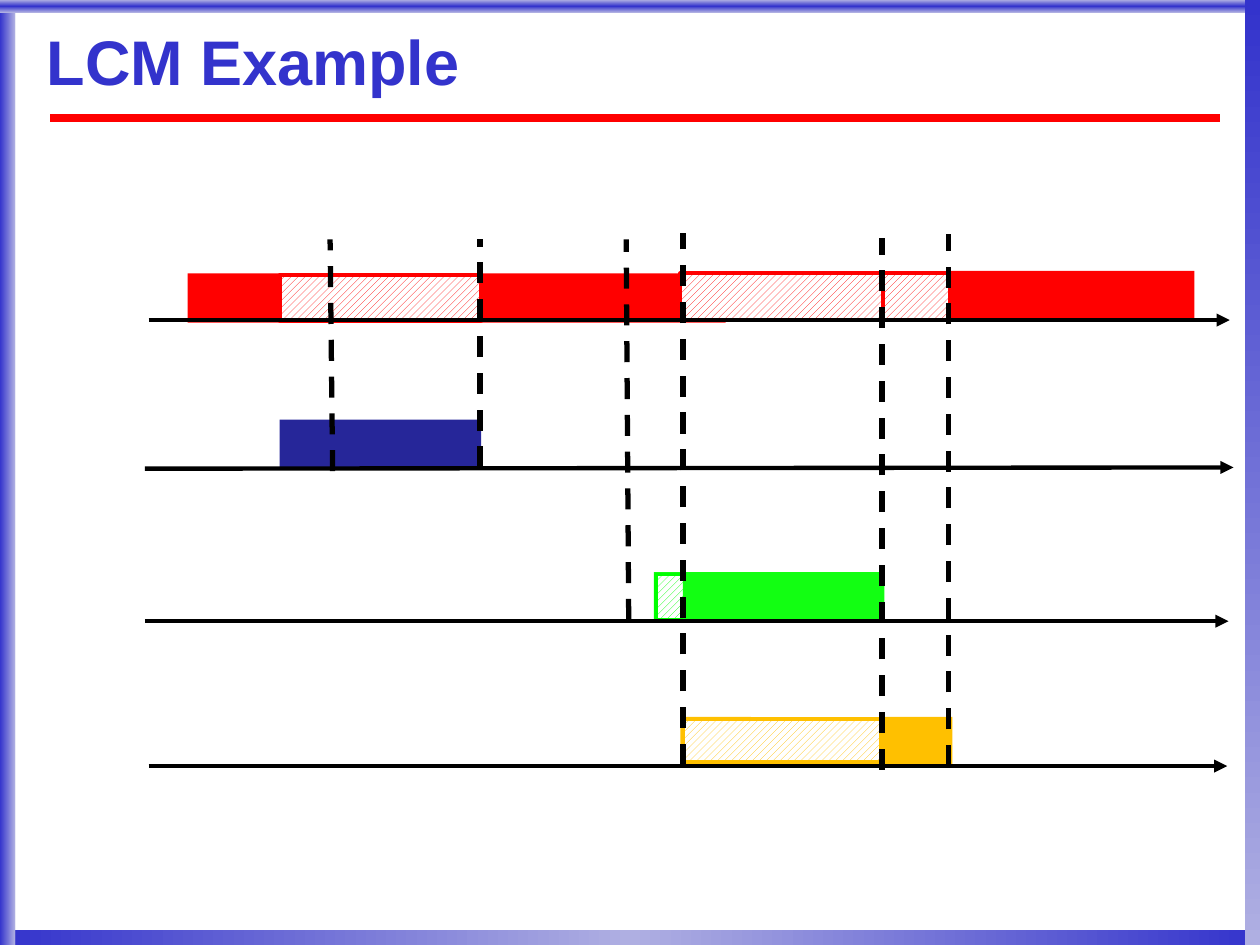
from dataclasses import dataclass

from lxml.etree import SubElement
from pptx import Presentation
from pptx.dml.color import RGBColor
from pptx.enum.dml import MSO_LINE, MSO_PATTERN
from pptx.enum.shapes import MSO_CONNECTOR, MSO_SHAPE
from pptx.enum.text import MSO_ANCHOR
from pptx.oxml import parse_xml
from pptx.oxml.ns import nsdecls, qn
from pptx.shapes.autoshape import Shape
from pptx.slide import Slide
from pptx.util import Inches, Pt


@dataclass(frozen=True)
class Theme:
    font: str = "Arial"
    title: float = 36
    rule: float = 4.5
    axis: float = 2.5
    dash: float = 3
    edge: float = 2.25
    blue: str = "3333CC"
    pale: str = "AFAFE2"
    shade: str = "B2B2B2"
    white: str = "FFFFFF"
    black: str = "000000"
    red: str = "FF0000"
    navy: str = "262699"
    green: str = "12FF12"
    lime: str = "00FF00"
    gold: str = "FFC000"


THEME = Theme()


@dataclass(frozen=True)
class Band:
    """A frame strip with evenly spaced gradient stops."""
    left: float
    top: float
    width: float
    height: float
    stops: tuple[str, ...]
    angle: int


@dataclass(frozen=True)
class Block:
    """A span of time: solid while running, hatched while waiting."""
    left: float
    top: float
    width: float
    height: float
    color: str
    hatched: bool = False


@dataclass(frozen=True)
class Line:
    start: tuple[float, float]
    end: tuple[float, float]
    color: str
    weight: float
    dashed: bool = False
    arrow: bool = False


def run(left: float, top: float, width: float, color: str) -> Block:
    return Block(left, top, width, 0.39, color)


def wait(left: float, top: float, width: float, height: float, color: str) -> Block:
    return Block(left, top, width, height, color, hatched=True)


def axis(left: float, right: float, start: float, end: float) -> Line:
    return Line((left, start), (right, end), THEME.black, THEME.axis, arrow=True)


def mark(low: float, bottom: float, high: float, top: float) -> Line:
    return Line((low, bottom), (high, top), THEME.black, THEME.dash, dashed=True)


def add_box(slide: Slide, part: Band | Block) -> Shape:
    box = slide.shapes.add_shape(
        MSO_SHAPE.RECTANGLE, Inches(part.left), Inches(part.top),
        Inches(part.width), Inches(part.height))
    box.shadow.inherit = False
    box.line.fill.background()
    return box


def draw_band(slide: Slide, band: Band) -> None:
    box = add_box(slide, band)
    step = 100000 // (len(band.stops) - 1)
    stops = "".join(
        f'<a:gs pos="{i * step}"><a:srgbClr val="{color}"/></a:gs>'
        for i, color in enumerate(band.stops))
    fill = parse_xml(
        f'<a:gradFill {nsdecls("a")} rotWithShape="1"><a:gsLst>{stops}</a:gsLst>'
        f'<a:lin ang="{band.angle * 60000}" scaled="0"/></a:gradFill>')
    box.element.spPr.find(qn("a:prstGeom")).addnext(fill)


def draw_block(slide: Slide, block: Block) -> None:
    box = add_box(slide, block)
    color = RGBColor.from_string(block.color)
    if not block.hatched:
        box.fill.solid()
        box.fill.fore_color.rgb = color
        return
    box.fill.patterned()
    box.fill.pattern = MSO_PATTERN.WIDE_UPWARD_DIAGONAL
    box.fill.fore_color.rgb = color
    box.fill.back_color.rgb = RGBColor.from_string(THEME.white)
    box.line.color.rgb = color
    box.line.width = Pt(THEME.edge)


def draw_line(slide: Slide, line: Line) -> None:
    wire = slide.shapes.add_connector(
        MSO_CONNECTOR.STRAIGHT, *map(Inches, line.start + line.end))
    wire.line.color.rgb = RGBColor.from_string(line.color)
    wire.line.width = Pt(line.weight)
    if line.dashed:
        wire.line.dash_style = MSO_LINE.DASH
    if line.arrow:
        SubElement(wire.line._get_or_add_ln(), qn("a:tailEnd"), type="triangle")
    SubElement(wire.element.spPr, qn("a:effectLst"))


def draw_title(slide: Slide, text: str) -> None:
    box = slide.shapes.add_textbox(Inches(0.37), Inches(0.15), Inches(9.47), Inches(0.74))
    frame = box.text_frame
    frame.word_wrap = True
    frame.vertical_anchor = MSO_ANCHOR.MIDDLE
    frame.margin_left = frame.margin_right = frame.margin_top = frame.margin_bottom = 0
    frame.text = text
    para = frame.paragraphs[0]
    para.line_spacing = 0.87
    font = para.runs[0].font
    font.size = Pt(THEME.title)
    font.bold = True
    font.color.rgb = RGBColor.from_string(THEME.blue)
    # The text shadow sits between the colour and the typeface
    para.runs[0]._r.get_or_add_rPr().append(parse_xml(
        f'<a:effectLst {nsdecls("a")}><a:outerShdw dist="38100" dir="2700000">'
        f'<a:srgbClr val="{THEME.shade}"/></a:outerShdw></a:effectLst>'))
    font.name = THEME.font


# Slide frame
BANDS = [
    Band(0, 7.38, 10, 0.13, (THEME.blue, THEME.pale, THEME.blue), 0),
    Band(0, 0, 0.12, 7.5, (THEME.blue, THEME.pale), 0),
    Band(0, 0, 10, 0.1, (THEME.pale, THEME.blue, THEME.pale), 90),
    Band(9.88, 0, 0.12, 7.5, (THEME.blue, THEME.pale), 90),
]
RULE = Line((0.4, 0.94), (9.68, 0.94), THEME.red, THEME.rule)

# Timeline parts, from back to front
CHART: list[Block | Line] = [
    run(1.49, 2.17, 1.94, THEME.red),
    run(2.22, 3.33, 1.6, THEME.navy),
    axis(1.15, 9.79, 3.72, 3.71),
    wait(2.22, 2.18, 1.6, 0.37, THEME.red),
    mark(2.64, 3.74, 2.62, 1.9),
    run(3.82, 2.17, 1.94, THEME.red),
    mark(3.81, 3.71, 3.81, 1.9),
    run(5.19, 4.54, 1.6, THEME.green),
    mark(4.99, 4.92, 4.97, 1.9),
    wait(5.21, 4.56, 0.61, 0.36, THEME.lime),
    run(5.4, 5.69, 0.56, THEME.gold),
    wait(5.4, 2.17, 1.61, 0.37, THEME.red),
    run(5.42, 4.54, 1.6, THEME.green),
    wait(5.42, 5.71, 1.57, 0.34, THEME.gold),
    axis(1.15, 9.75, 4.93, 4.93),
    mark(5.42, 6.07, 5.42, 1.85),
    run(7, 5.69, 0.56, THEME.gold),
    axis(1.18, 9.74, 6.08, 6.08),
    run(7.54, 2.15, 1.94, THEME.red),
    wait(7.01, 2.17, 0.53, 0.37, THEME.red),
    mark(7.53, 6.08, 7.53, 1.86),
    mark(7, 6.11, 7, 1.89),
    axis(1.18, 9.76, 2.54, 2.54),
]


def main() -> None:
    deck = Presentation()
    deck.slide_width, deck.slide_height = Inches(10), Inches(7.5)
    slide = deck.slides.add_slide(deck.slide_layouts[6])
    for band in BANDS:
        draw_band(slide, band)
    draw_line(slide, RULE)
    draw_title(slide, "LCM Example")
    for part in CHART:
        if isinstance(part, Block):
            draw_block(slide, part)
        else:
            draw_line(slide, part)
    deck.save("out.pptx")


if __name__ == "__main__":
    main()
